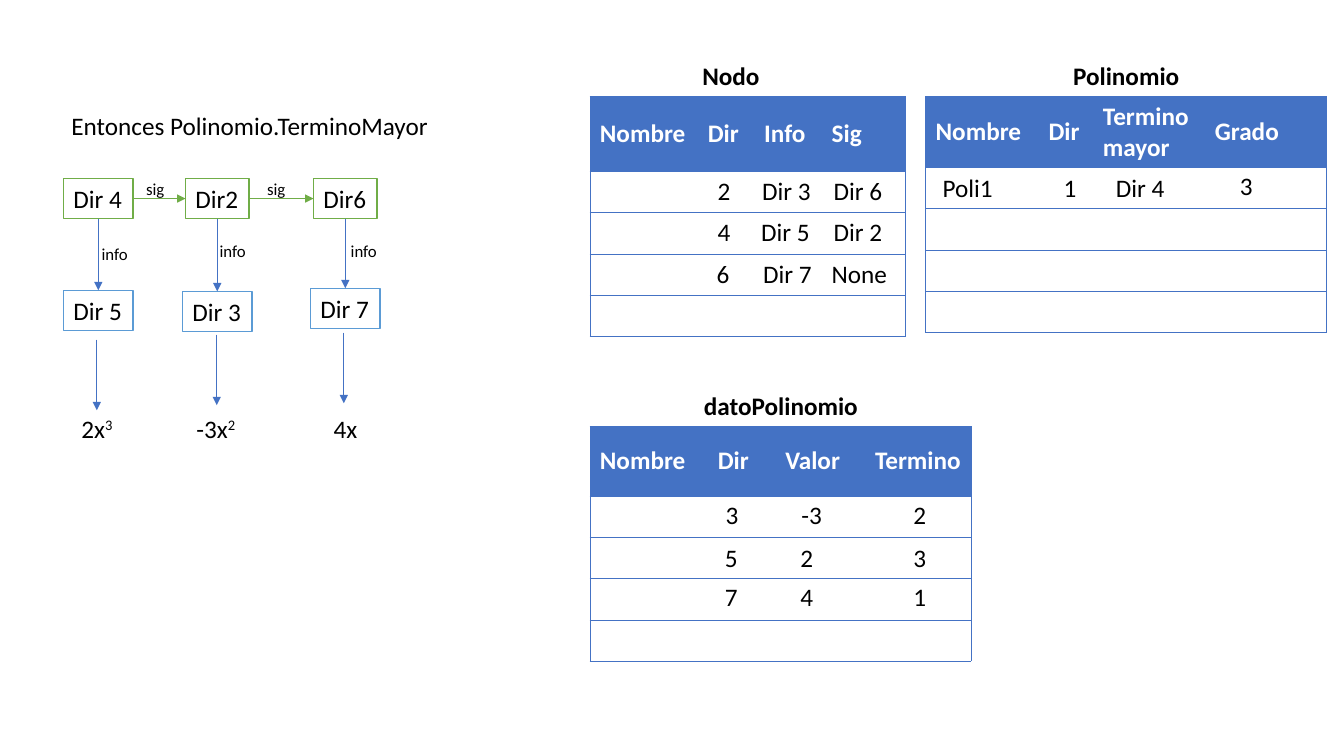
from lxml import etree
from pptx import Presentation
from pptx.dml.color import RGBColor
from pptx.enum import shapes, text
from pptx.oxml.ns import qn
from pptx.util import Inches, Pt

BLUE, SKY, GREEN = "4472C4", "5B9BD5", "70AD47"
WHITE, BLACK = "FFFFFF", "000000"

prs = Presentation()
prs.slide_width, prs.slide_height = Inches(13.33), Inches(7.5)
s = prs.slides.add_slide(prs.slide_layouts[6])


def rgb(value):
    return RGBColor.from_string(value)


def label(words, x, y, w, h=0.4, size=18, bold=False, centred=False, outline=None):
    """Text box, or a white rectangle if outline is given; '^' starts a superscript."""
    box = [Inches(v) for v in (x, y, w, h)]
    if outline:
        sp = s.shapes.add_shape(shapes.MSO_SHAPE.RECTANGLE, *box)
        sp.shadow.inherit = False
        sp.fill.solid()
        sp.fill.fore_color.rgb = rgb(WHITE)
        sp.line.color.rgb, sp.line.width = rgb(outline), Pt(1)
    else:
        sp = s.shapes.add_textbox(*box)
    tf = sp.text_frame
    tf.word_wrap = centred
    tf.auto_size = text.MSO_AUTO_SIZE.SHAPE_TO_FIT_TEXT
    tf.vertical_anchor = text.MSO_ANCHOR.TOP
    p = tf.paragraphs[0]
    p.alignment = text.PP_ALIGN.CENTER if centred else text.PP_ALIGN.LEFT
    for i, part in enumerate(words.split("^")):
        r = p.add_run()
        r.text = part
        for name, value in {"name": "Calibri", "size": Pt(size), "bold": bold}.items():
            setattr(r.font, name, value)
        r.font.color.rgb = rgb(BLACK)
        if i:
            r.font._element.set("baseline", "30000")
    return sp


# Tables: title, title width, left, top, column widths, header height, headers
tables = [
    ("Nodo", 2.8, 5.85, 0.96, [1.07, 0.56, 0.67, 0.83], 0.74,
     ["Nombre", "Dir", "Info", "Sig"]),
    ("Polinomio", 3.98, 9.18, 0.96, [1.12, 0.54, 1.11, 1.21], 0.69,
     ["Nombre", "Dir", "Termino mayor", "Grado"]),
    ("datoPolinomio", 3.79, 5.85, 4.23, [1.17, 0.67, 0.89, 1.05], 0.69,
     ["Nombre", "Dir", "Valor", "Termino"]),
]
for title, title_w, x, y, widths, head_h, headers in tables:
    heights = [head_h] + [0.41] * 4
    tbl = s.shapes.add_table(5, 4, Inches(x), Inches(y),
                             Inches(sum(widths)), Inches(sum(heights))).table
    tbl.horz_banding = False
    for col, w in zip(tbl.columns, widths):
        col.width = Inches(w)
    for row, h in zip(tbl.rows, heights):
        row.height = Inches(h)
    for i in range(5):
        for j in range(4):
            cell = tbl.cell(i, j)
            cell.vertical_anchor = text.MSO_ANCHOR.MIDDLE
            tcPr = cell._tc.get_or_add_tcPr()
            edges = {"L": j == 0, "R": j == 3, "T": True, "B": True}
            for side, visible in edges.items():
                ln = etree.SubElement(tcPr, qn(f"a:ln{side}"), w=str(Pt(0.5)))
                if visible:
                    fill = etree.SubElement(ln, qn("a:solidFill"))
                    etree.SubElement(fill, qn("a:srgbClr"), val=BLUE)
                else:
                    etree.SubElement(ln, qn("a:noFill"))
            if i:
                cell.fill.background()
                continue
            cell.fill.solid()
            cell.fill.fore_color.rgb = rgb(BLUE)
            r = cell.text_frame.paragraphs[0].add_run()
            r.text = headers[j]
            for name, value in {"name": "Calibri", "size": Pt(18), "bold": True}.items():
                setattr(r.font, name, value)
            r.font.color.rgb = rgb(WHITE)
    label(title, x, y - 0.41, title_w, bold=True, centred=True)

# Values over the table rows: top, then (text, left, width)
value_rows = [
    (1.69, [("2", 7.02, 0.33), ("Dir 3", 7.46, 0.69), ("Dir 6", 8.17, 0.69)]),
    (2.1, [("4", 7.02, 0.33), ("Dir 5", 7.45, 0.69), ("Dir 2", 8.17, 0.69)]),
    (2.51, [("6", 7.01, 0.33), ("Dir 7", 7.47, 0.69), ("None", 8.15, 0.76)]),
    (1.66, [("Poli1", 9.25, 0.7), ("1", 10.45, 0.33), ("Dir 4", 10.97, 0.69)]),
    (1.64, [("3", 12.2, 0.33)]),
    (4.9, [("3", 7.1, 0.33), ("-3", 7.85, 0.41), ("2", 8.96, 0.33)]),
    (5.33, [("5", 7.09, 0.33), ("2", 7.84, 0.33), ("3", 8.96, 0.33)]),
    (5.72, [("7", 7.09, 0.33), ("4", 7.84, 0.33), ("1", 8.96, 0.33)]),
]
for y, values in value_rows:
    for words, x, w in values:
        label(words, x, y, w)

# Linked list
label("Entonces Polinomio.TerminoMayor", 0.61, 1.05, 3.77)
nodes = [label(words, x, 1.77, w, outline=GREEN)
         for words, x, w in [("Dir 4", 0.63, 0.69), ("Dir2", 1.84, 0.63), ("Dir6", 3.11, 0.63)]]
data = [label(words, x, y, 0.69, outline=SKY)
        for words, x, y in [("Dir 5", 0.63, 2.88), ("Dir 3", 1.81, 2.89), ("Dir 7", 3.08, 2.86)]]
for words, x, w in [("2x^3", 0.71, 0.52), ("-3x^2", 1.85, 0.6), ("4x", 3.21, 0.44)]:
    label(words, x, 4.05, w)

# Arrows: colour, ends, and the joined shapes with their sides
arrows = [(GREEN, (0, 0, 0, 0), (a, 3, b, 1)) for a, b in zip(nodes, nodes[1:])]
arrows += [(BLUE, (0, 0, 0, 0), (a, 2, b, 0)) for a, b in zip(nodes, data)]
arrows += [(BLUE, (x, y, x, y + 0.7), None) for x, y in [(0.96, 3.37), (2.15, 3.32), (3.41, 3.3)]]
for color, ends, joined in arrows:
    cx = s.shapes.add_connector(shapes.MSO_CONNECTOR.STRAIGHT, *[Inches(v) for v in ends])
    if joined:
        start, start_side, end, end_side = joined
        cx.begin_connect(start, start_side)
        cx.end_connect(end, end_side)
    cx.line.color.rgb, cx.line.width = rgb(color), Pt(0.5)
    etree.SubElement(cx.line._get_or_add_ln(), qn("a:tailEnd"), type="triangle")
    etree.SubElement(cx._element.spPr, qn("a:effectLst"))

for x in (1.35, 2.55):
    label("sig", x, 1.72, 0.39, 0.3, size=12)
for x, y in [(0.91, 2.37), (2.08, 2.34), (3.38, 2.34)]:
    label("info", x, y, 0.46, 0.3, size=12)

prs.save("out.pptx")
